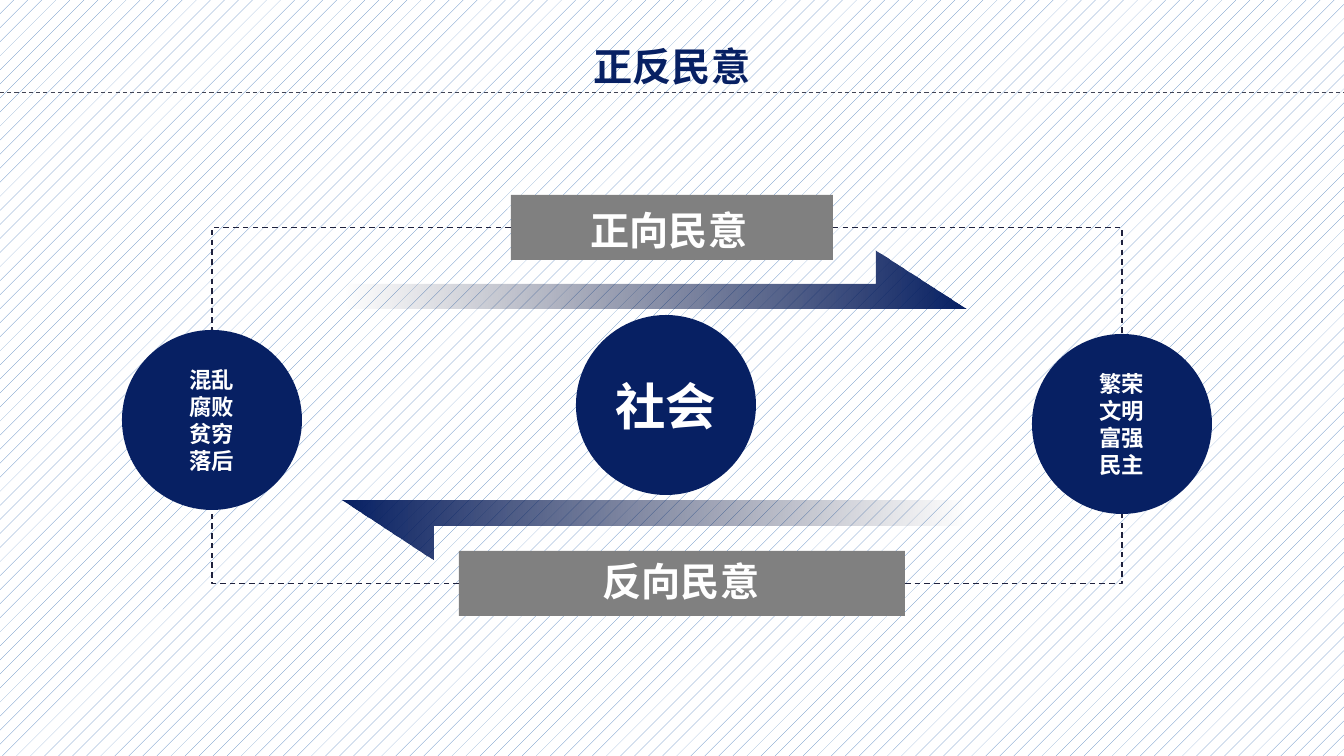
from dataclasses import dataclass
from lxml.etree import SubElement
from pptx import Presentation
from pptx.dml.color import RGBColor
from pptx.enum.dml import MSO_LINE, MSO_PATTERN
from pptx.enum.shapes import MSO_CONNECTOR as CONN, MSO_SHAPE as SHAPE
from pptx.enum.text import MSO_ANCHOR as ANCHOR, PP_ALIGN as ALIGN
from pptx.oxml.ns import qn
from pptx.util import Pt

SCALE = 12192000 / 1344


@dataclass(frozen=True)
class Theme:
    navy: str = "072063"
    ink: str = "1F223E"
    rule: str = "414455"
    grey: str = "808080"
    white: str = "FFFFFF"
    hatch: str = "4F81BD"
    title_font: str = "Arial"
    font: str = "Noto Sans CJK SC"
    heading: int = 28
    core: int = 36
    detail: int = 16


T = Theme()


def px(n):
    return round(n * SCALE)


def rgb(value):
    return RGBColor.from_string(value)


def write(tf, text, size=T.heading, color=T.white, font=T.font, anchor=ANCHOR.TOP):
    tf.word_wrap = True
    tf.vertical_anchor = anchor
    for i, line in enumerate(text.split("\n")):
        p = tf.add_paragraph() if i else tf.paragraphs[0]
        p.alignment = ALIGN.CENTER
        r = p.add_run()
        r.text = line
        r.font.size, r.font.bold, r.font.name = Pt(size), True, font
        r.font.color.rgb = rgb(color)
        SubElement(r.font._element, qn("a:ea"), typeface=font)


def add_text(slide, box, text, **fmt):
    s = slide.shapes.add_textbox(*map(px, box))
    write(s.text_frame, text, **fmt)


def add_block(slide, kind, box, color):
    s = slide.shapes.add_shape(kind, *map(px, box))
    s.shadow.inherit = False
    s.fill.solid()
    s.fill.fore_color.rgb = rgb(color)
    s.line.fill.background()
    return s


def add_dashed(slide, kind, start, end, color, width):
    s = slide.shapes.add_connector(kind, *map(px, (*start, *end)))
    s.line.color.rgb = rgb(color)
    s.line.width = Pt(width)
    s.line.dash_style = MSO_LINE.DASH
    SubElement(s._element.spPr, qn("a:effectLst"))
    return s


def draw_title(slide, box, text):
    x, y, w, h = box
    add_text(slide, (x + 67, y + 37, w - 134, 62), text,
             color=T.navy, font=T.title_font)
    add_dashed(slide, CONN.STRAIGHT, (x, y + h), (x + w, y + h), T.rule, 0.75)


def draw_arrow(slide, box, rotation=0):
    x, y, w, h = box
    neck, shaft = x + w - 91, y + 33
    fb = slide.shapes.build_freeform(px(x), px(shaft))
    outline = [(x, y + h), (x + w, y + h), (neck, y), (neck, shaft)]
    fb.add_line_segments([(px(a), px(b)) for a, b in outline], close=True)
    s = fb.convert_to_shape()
    s.shadow.inherit = False
    s.line.fill.background()
    s.fill.gradient()
    s.fill.gradient_angle = 0
    for stop, color in zip(s.fill.gradient_stops, (T.ink, T.navy)):
        stop.color.rgb = rgb(color)
    clear = s._element.spPr.xpath(".//a:srgbClr")[0]
    SubElement(clear, qn("a:alpha"), val="0")
    s.rotation = rotation


def draw_label(slide, box, text, nudge):
    x, y, w, h = box
    s = add_block(slide, SHAPE.ROUNDED_RECTANGLE, box, T.grey)
    s.adjustments[0] = 0
    dx, dy = nudge
    add_text(slide, (x + 10 + dx, y + 4 + dy, w - 20, 57), text)
    return s


def draw_circle(slide, box, text, size=T.detail):
    s = add_block(slide, SHAPE.OVAL, box, T.navy)
    write(s.text_frame, text, size=size, anchor=ANCHOR.MIDDLE)
    return s


def draw_link(slide, label, label_side, circle, circle_side):
    s = add_dashed(slide, CONN.ELBOW, (0, 0), (1, 1), T.ink, 1)
    s.begin_connect(label, label_side)
    s.end_connect(circle, circle_side)
    s._element.spPr.find(qn("a:prstGeom")).set("prst", "bentConnector2")
    # an ellipse has eight sites, two for each side of a rectangle
    s._element.xpath(".//a:endCxn")[0].set("idx", str(circle_side * 2))


def draw_cycle(slide, box):
    x, y, w, h = box
    draw_arrow(slide, (x + 221, y + 56, 623, 58))
    draw_arrow(slide, (x + 221, y + 306, 623, 58), rotation=180)
    forward = draw_label(slide, (x + 389, y, 322, 65), "正向民意", (-3, 2))
    backward = draw_label(slide, (x + 337, y + h - 65, 446, 65), "反向民意", (-1, -3))
    d = 180
    before = draw_circle(slide, (x, y + 135, d, d), "混乱\n腐败\n贫穷\n落后")
    after = draw_circle(slide, (x + w - d, y + 139, d, d), "繁荣\n文明\n富强\n民主")
    for label, circle_side in ((forward, 0), (backward, 2)):
        for circle, label_side in ((before, 1), (after, 3)):
            draw_link(slide, label, label_side, circle, circle_side)
    draw_circle(slide, (x + 454, y + 120, d, d), "社会", size=T.core)


def main():
    prs = Presentation()
    prs.slide_width, prs.slide_height = px(1344), px(756)
    slide = prs.slides.add_slide(prs.slide_layouts[6])
    fill = slide.background.fill
    fill.patterned()
    fill.pattern = MSO_PATTERN.PERCENT_5
    fill.fore_color.rgb, fill.back_color.rgb = rgb(T.hatch), rgb(T.white)
    draw_title(slide, (0, 0, 1344, 93), "正反民意")
    draw_cycle(slide, (122, 195, 1090, 421))
    prs.save("out.pptx")


if __name__ == "__main__":
    main()
